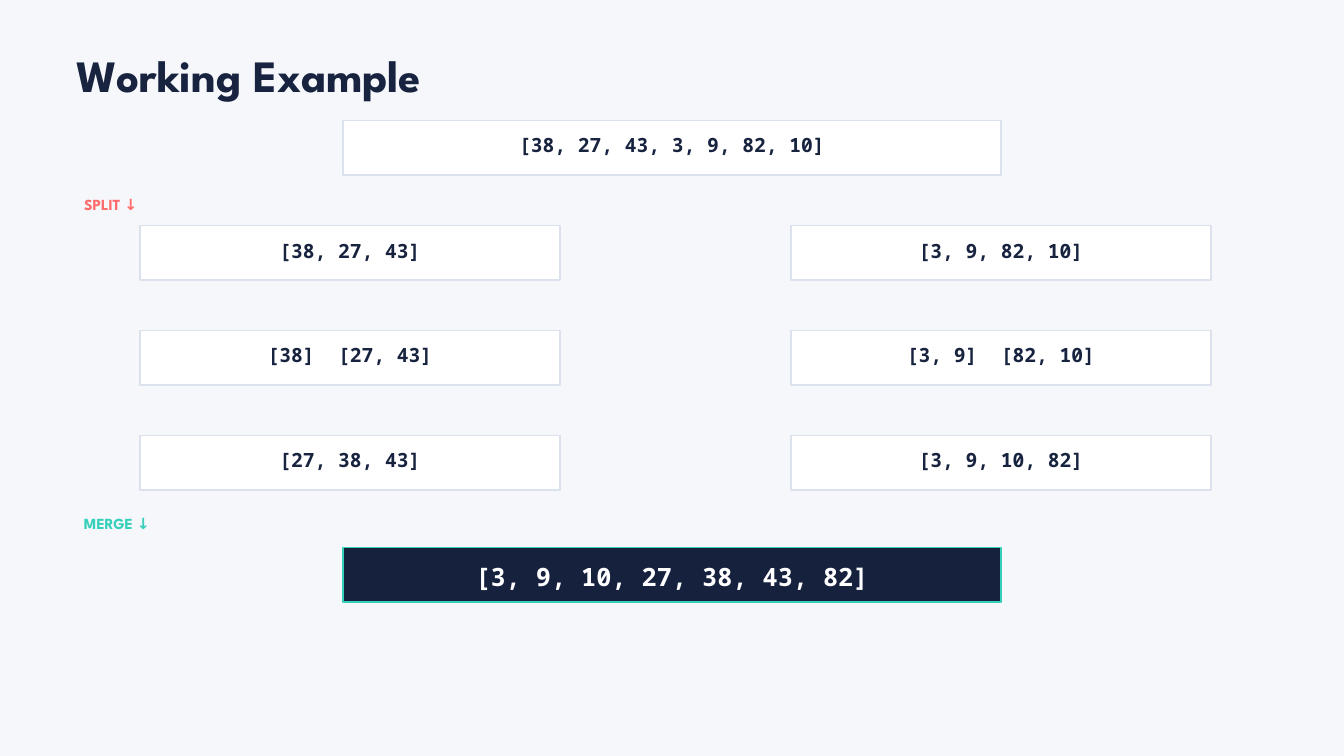
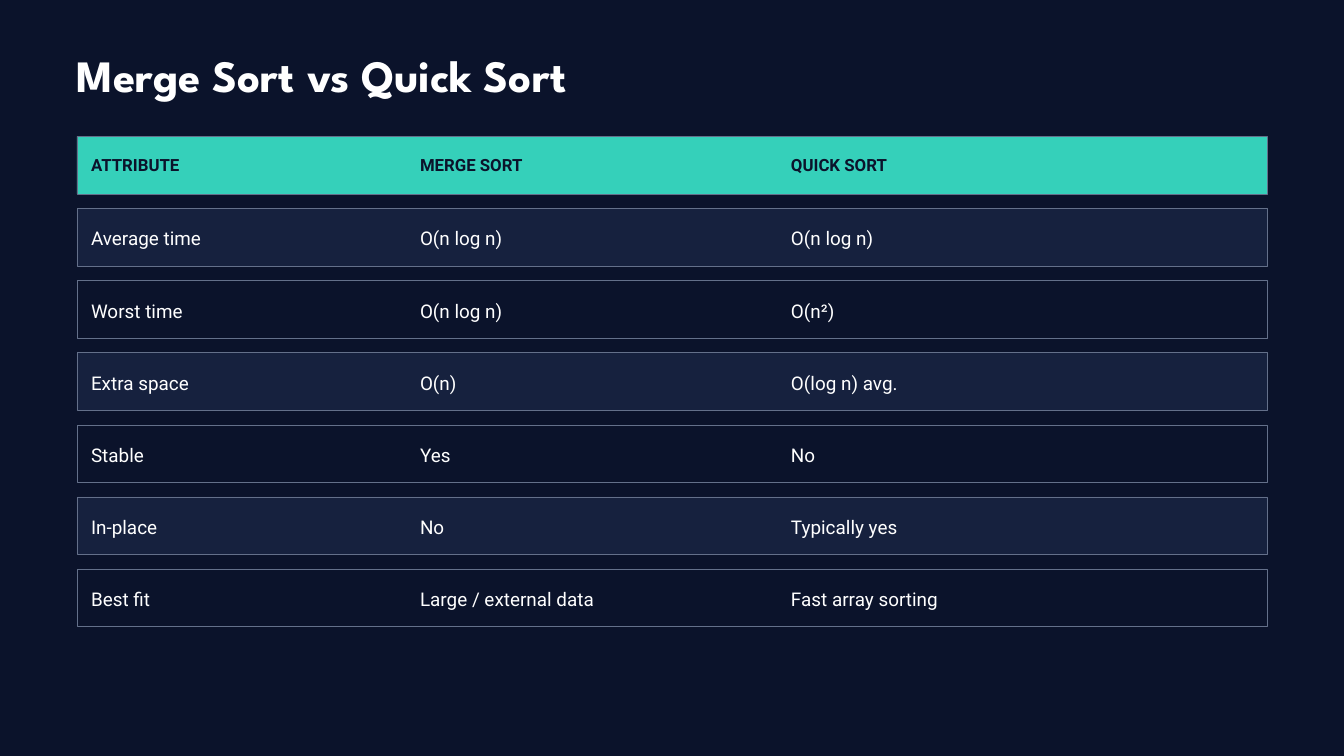
from pptx import Presentation
from pptx.dml.color import RGBColor
from pptx.enum.shapes import MSO_SHAPE
from pptx.enum.text import MSO_ANCHOR, PP_ALIGN
from pptx.util import Pt

PX = 9525  # EMU per px, 96 px to the inch

PALE = RGBColor(0xF5, 0xF7, 0xFB)
MIDNIGHT = RGBColor(0x0B, 0x13, 0x2B)
NAVY = RGBColor(0x16, 0x21, 0x3E)
INK = RGBColor(0x17, 0x23, 0x3F)
WHITE = RGBColor(0xFF, 0xFF, 0xFF)
MIST = RGBColor(0xDB, 0xE2, 0xEE)
SLATE = RGBColor(0x64, 0x70, 0x8A)
TEAL = RGBColor(0x35, 0xD0, 0xBA)
CORAL = RGBColor(0xFF, 0x6B, 0x6B)

HEADING_FONT = "League Spartan"
CODE_FONT = "Noto Sans Mono"
BODY_FONT = "Roboto"


def add_panel(page, left, top, width, height, fill, line, line_width):
    panel = page.shapes.add_shape(
        MSO_SHAPE.RECTANGLE, left * PX, top * PX, width * PX, height * PX)
    panel.shadow.inherit = False
    panel.fill.solid()
    panel.fill.fore_color.rgb = fill
    panel.line.color.rgb = line
    panel.line.width = Pt(line_width)
    return panel


def add_text(page, text, area, font, size, spacing, color, bold=True, panel=None):
    """Write into a new text box at area, or into panel, where area is its inner margins."""
    if panel:
        frame = panel.text_frame
        margins = area
    else:
        frame = page.shapes.add_textbox(*(length * PX for length in area)).text_frame
        margins = (0, 0, 0, 0)
    frame.margin_left, frame.margin_top, frame.margin_right, frame.margin_bottom = (
        margin * PX for margin in margins)
    frame.word_wrap = True
    frame.vertical_anchor = MSO_ANCHOR.TOP
    paragraph = frame.paragraphs[0]
    paragraph.text = text
    paragraph.alignment = PP_ALIGN.CENTER if panel else PP_ALIGN.LEFT
    paragraph.line_spacing = Pt(spacing)
    paragraph.font.name = font
    paragraph.font.size = Pt(size)
    paragraph.font.bold = bold
    paragraph.font.color.rgb = color


deck = Presentation()
deck.slide_width = 1920 * PX
deck.slide_height = 1080 * PX

pages = []
for title, background, title_color in [
    ("Working Example", PALE, INK),
    ("Merge Sort vs Quick Sort", MIDNIGHT, WHITE),
]:
    page = deck.slides.add_slide(deck.slide_layouts[6])
    page.background.fill.solid()
    page.background.fill.fore_color.rgb = background
    add_text(page, title, (110, 79, 1500, 67), HEADING_FONT, 48, 49, title_color)
    pages.append(page)
example_page, comparison_page = pages

# Working example: whole list, halves step by step, sorted list
WHOLE_LEFT, WHOLE_WIDTH = 490, 940
HALF_LEFTS, HALF_WIDTH = (200, 1130), 600
HALVES_TOP, STEP_PITCH = 322, 150
ARRAY_HEIGHT = 78
half_steps = [
    ("[38, 27, 43]", "[3, 9, 82, 10]"),
    ("[38]  [27, 43]", "[3, 9]  [82, 10]"),
    ("[27, 38, 43]", "[3, 9, 10, 82]"),
]
arrays = [("[38, 27, 43, 3, 9, 82, 10]", WHOLE_LEFT, 172, WHOLE_WIDTH)]
for step, halves in enumerate(half_steps):
    for values, left in zip(halves, HALF_LEFTS):
        arrays.append((values, left, HALVES_TOP + step * STEP_PITCH, HALF_WIDTH))

ARRAY_MARGINS = (20, 13, 20, 0)
for values, left, top, width in arrays:
    panel = add_panel(example_page, left, top, width, ARRAY_HEIGHT, WHITE, MIST, 1.5)
    add_text(example_page, values, ARRAY_MARGINS, CODE_FONT, 21, 29.4, INK, panel=panel)

sorted_panel = add_panel(
    example_page, WHOLE_LEFT, 782, WHOLE_WIDTH, ARRAY_HEIGHT, NAVY, TEAL, 1.5)
add_text(example_page, "[3, 9, 10, 27, 38, 43, 82]", ARRAY_MARGINS,
         CODE_FONT, 27, 37.8, WHITE, panel=sorted_panel)

for label, top, width, color in [("SPLIT ↓", 283, 180, CORAL), ("MERGE ↓", 738, 200, TEAL)]:
    add_text(example_page, label, (120, top, width, 23), HEADING_FONT, 16.5, 16.8, color)

# Comparison: one outlined band per row, text in three columns
COLUMNS = [(130, 400), (600, 470), (1130, 520)]
ROWS_TOP, ROW_PITCH, ROW_HEIGHT = 195, 103, 82
rows = [
    ("ATTRIBUTE", "MERGE SORT", "QUICK SORT"),
    ("Average time", "O(n log n)", "O(n log n)"),
    ("Worst time", "O(n log n)", "O(n²)"),
    ("Extra space", "O(n)", "O(log n) avg."),
    ("Stable", "Yes", "No"),
    ("In-place", "No", "Typically yes"),
    ("Best fit", "Large / external data", "Fast array sorting"),
]
for index, row in enumerate(rows):
    top = ROWS_TOP + index * ROW_PITCH
    is_header = index == 0
    if is_header:
        fill, color, size, spacing, height = TEAL, MIDNIGHT, 18, 25.2, 33
    else:
        fill = NAVY if index % 2 else MIDNIGHT
        color, size, spacing, height = WHITE, 20.25, 28.35, 36
    add_panel(comparison_page, 110, top, 1700, ROW_HEIGHT, fill, SLATE, 0.75)
    for text, (left, width) in zip(row, COLUMNS):
        add_text(comparison_page, text, (left, top + 21, width, height),
                 BODY_FONT, size, spacing, color, bold=is_header)

deck.save("out.pptx")
